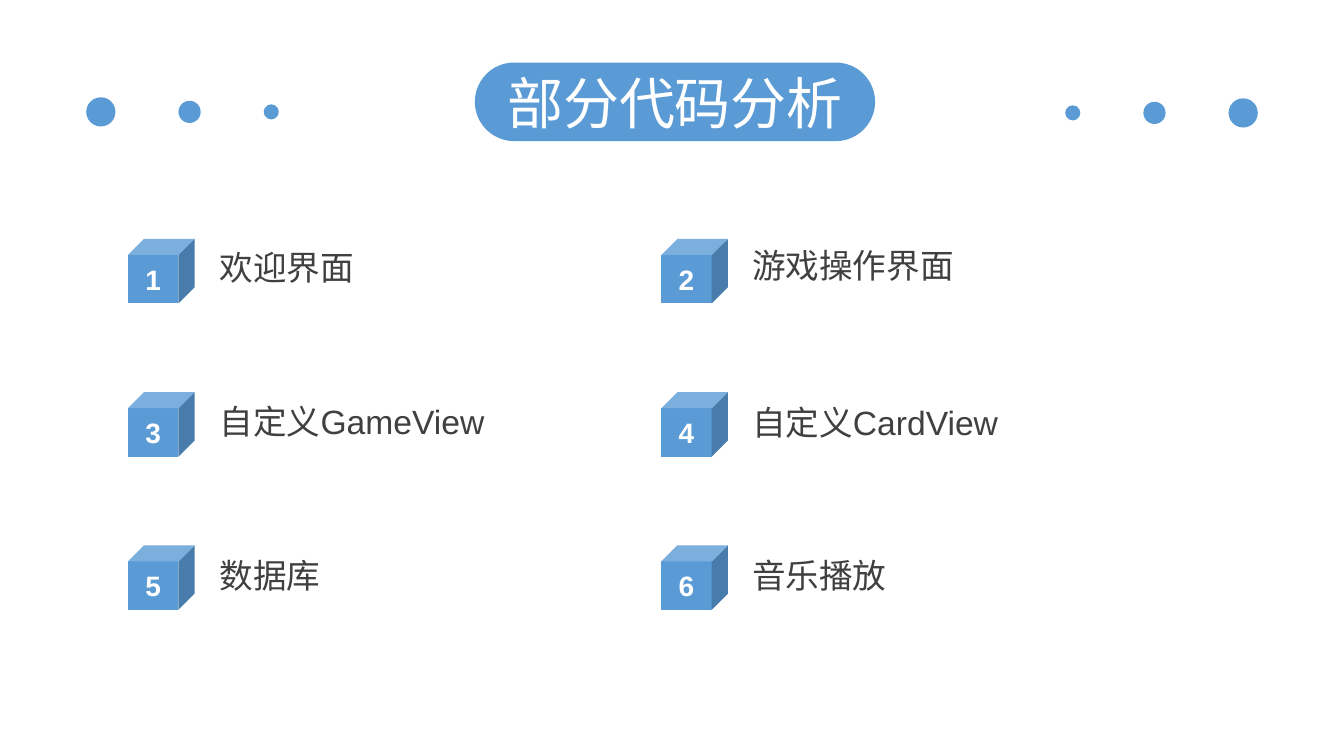
from pptx import Presentation
from pptx.dml.color import RGBColor
from pptx.enum.shapes import MSO_SHAPE
from pptx.enum.text import MSO_ANCHOR, PP_ALIGN
from pptx.util import Inches, Pt

ELLIPSE, PILL, CUBE = MSO_SHAPE.OVAL, MSO_SHAPE.ROUNDED_RECTANGLE, MSO_SHAPE.CUBE
MIDDLE = MSO_ANCHOR.MIDDLE
LEFT, CENTER = PP_ALIGN.LEFT, PP_ALIGN.CENTER

COLORS = {"blue": "5B9BD5", "white": "FFFFFF", "text": "404040"}
FONT = "Arial"
SLIDE_WIDTH, SLIDE_HEIGHT = 13.33, 7.5

# Distance of each dot's centre from the slide edge, and its diameter
DOTS = [(1.0, 0.29), (1.88, 0.22), (2.69, 0.15)]
LEFT_DOTS_Y, RIGHT_DOTS_Y = 1.11, 1.12

# Agenda grid: (cube left, label left, label width) for each column
COLUMNS = [(1.27, 2.18, 3.86), (6.56, 7.46, 4.26)]
FIRST_ROW_TOP, ROW_STEP = 2.37, 1.52
# Label and its top relative to the cube, row by row
TOPICS = [
    ("欢迎界面", -0.05), ("游戏操作界面", -0.07),
    ("自定义GameView", -0.04), ("自定义CardView", -0.03),
    ("数据库", -0.04), ("音乐播放", -0.04),
]


def add_blue_shape(slide, kind, left, top, width, height):
    shape = slide.shapes.add_shape(
        kind, Inches(left), Inches(top), Inches(width), Inches(height))
    shape.shadow.inherit = False
    shape.fill.solid()
    shape.fill.fore_color.rgb = RGBColor.from_string(COLORS["blue"])
    shape.line.fill.background()
    return shape


def write_text(shape, text, size, color, alignment, bold=False):
    frame = shape.text_frame
    frame.word_wrap = True
    frame.vertical_anchor = MIDDLE
    paragraph = frame.paragraphs[0]
    paragraph.text = text
    paragraph.alignment = alignment
    paragraph.font.name = FONT
    paragraph.font.size = Pt(size)
    paragraph.font.bold = bold
    paragraph.font.color.rgb = RGBColor.from_string(COLORS[color])
    return frame


def add_dot(slide, center_x, center_y, diameter):
    add_blue_shape(slide, ELLIPSE, center_x - diameter / 2,
                   center_y - diameter / 2, diameter, diameter)


def add_title(slide, text):
    pill = add_blue_shape(slide, PILL, 4.71, 0.62, 3.97, 0.78)
    pill.adjustments[0] = 0.5
    frame = write_text(pill, text, 40, "white", CENTER)
    frame.margin_top = frame.margin_bottom = 0


def add_number_cube(slide, number, left, top):
    cube = add_blue_shape(slide, CUBE, left, top, 0.66, 0.64)
    write_text(cube, str(number), 20, "white", CENTER, bold=True)


def add_label(slide, text, left, top, width):
    box = slide.shapes.add_textbox(
        Inches(left), Inches(top), Inches(width), Inches(0.71))
    frame = write_text(box, text, 24, "text", LEFT)
    frame.margin_left = frame.margin_right = 0
    frame.margin_top = frame.margin_bottom = 0
    frame.paragraphs[0].line_spacing = 0.9


def main():
    presentation = Presentation()
    presentation.slide_width = Inches(SLIDE_WIDTH)
    presentation.slide_height = Inches(SLIDE_HEIGHT)
    slide = presentation.slides.add_slide(presentation.slide_layouts[6])

    # Mirrored dots on both sides of the title
    for distance, diameter in DOTS:
        add_dot(slide, distance, LEFT_DOTS_Y, diameter)
        add_dot(slide, SLIDE_WIDTH - distance, RIGHT_DOTS_Y, diameter)

    add_title(slide, "部分代码分析")

    # Numbered topics in two columns
    for index, (text, label_offset) in enumerate(TOPICS):
        row, column = divmod(index, len(COLUMNS))
        cube_left, label_left, label_width = COLUMNS[column]
        top = FIRST_ROW_TOP + row * ROW_STEP
        add_number_cube(slide, index + 1, cube_left, top)
        add_label(slide, text, label_left, top + label_offset, label_width)

    presentation.save("out.pptx")


if __name__ == "__main__":
    main()
